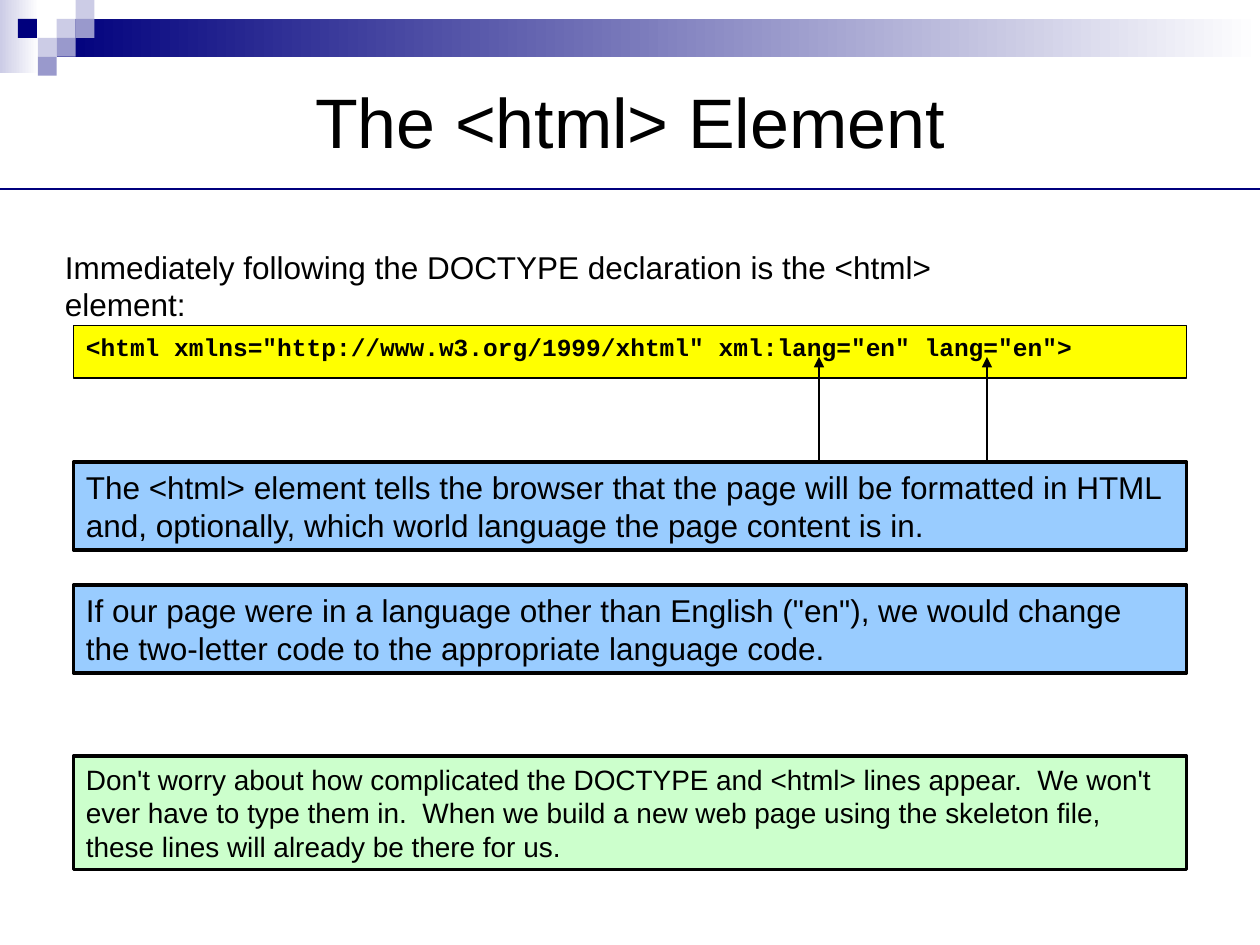
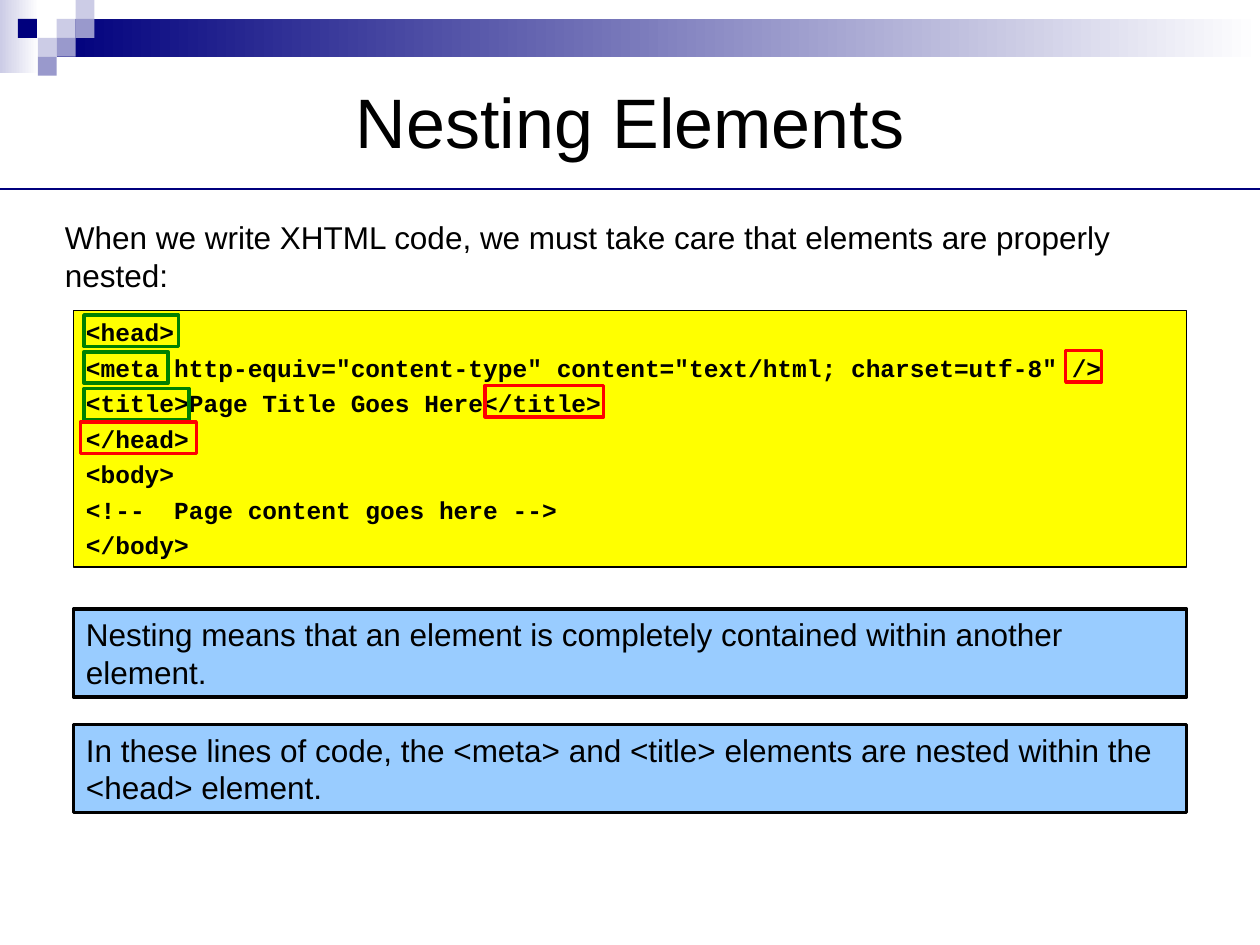
import dataclasses

import lxml.etree
import pptx
import pptx.dml.color
import pptx.enum.shapes
import pptx.enum.text
import pptx.oxml.ns
import pptx.util

COLORS = {
    "navy": "00007D", "periwinkle": "9999CC", "lavender": "CCCCE6",
    "white": "FFFFFF", "black": "000000", "yellow": "FFFF00",
    "sky": "99CCFF", "mint": "CCFFCC", "green": "008000", "red": "FF0000",
}

# Grid: 120 columns by 90 rows, so one cell is 1/12 inch square
SLIDE_WIDTH, SLIDE_HEIGHT = pptx.util.Inches(10), pptx.util.Inches(7.5)
CELL = SLIDE_WIDTH / 120
TILE = 1.8                      # side of a header tile, in cells
PANEL_LEFT, PANEL_WIDTH = 7, 106
HANGING = pptx.util.Inches(0.38)


@dataclasses.dataclass(frozen=True)
class Area:
    col: float
    row: float
    cols: float
    rows: float

    def emu(self) -> tuple[int, ...]:
        return tuple(round(n * CELL) for n in (self.col, self.row, self.cols, self.rows))


@dataclasses.dataclass(frozen=True)
class TextStyle:
    size: float
    font: str = "Arial"
    bold: bool = False
    before: float = 0
    after: float = 0
    hanging: bool = False
    align: pptx.enum.text.PP_ALIGN = pptx.enum.text.PP_ALIGN.LEFT


@dataclasses.dataclass(frozen=True)
class PanelStyle:
    fill: str
    border: float
    text: TextStyle
    grows: bool = True


@dataclasses.dataclass(frozen=True)
class Panel:
    style: PanelStyle
    row: float
    rows: float
    lines: tuple[str, ...]


@dataclasses.dataclass(frozen=True)
class Intro:
    text: str
    area: Area
    wraps: bool


@dataclasses.dataclass(frozen=True)
class TagMark:
    color: str
    area: Area


@dataclasses.dataclass(frozen=True)
class Page:
    title: str
    intro: Intro
    panels: tuple[Panel, ...]
    arrow_cols: tuple[float, ...] = ()
    marks: tuple[TagMark, ...] = ()


TITLE = TextStyle(40, align=pptx.enum.text.PP_ALIGN.CENTER)
INTRO = TextStyle(18)
CODE = PanelStyle("yellow", 0.75,
                  TextStyle(14, "Courier New", bold=True, before=3.5, hanging=True), grows=False)
FACT = PanelStyle("sky", 2, TextStyle(18, before=6, after=6))
ADVICE = PanelStyle("mint", 2, TextStyle(16, before=6, after=6))

# Header tiles: column and row in tiles, colour
HEADER_TILES = (
    (3, 1, "lavender"), (4, 0, "lavender"), (4, 1, "periwinkle"), (2, 2, "lavender"),
    (0.95, 1, "navy"), (3, 2, "periwinkle"), (2, 3, "periwinkle"),
)
HEADER_FADES = (
    (Area(0, 0, 3.7, 7), "lavender"),
    (Area(3 * TILE, TILE, 120 - 3 * TILE, 2 * TILE), "navy"),
)

PAGES = (
    Page(
        "The <html> Element",
        Intro("Immediately following the DOCTYPE declaration is the <html> element:",
              Area(5, 23, 97.2, 4.8), wraps=False),
        (
            Panel(CODE, 31, 5, (
                '<html xmlns="http://www.w3.org/1999/xhtml" xml:lang="en" lang="en">',)),
            Panel(FACT, 44, 8.4, (
                "The <html> element tells the browser that the page will be formatted in HTML "
                "and, optionally, which world language the page content is in.",)),
            Panel(FACT, 55.7, 8.4, (
                'If our page were in a language other than English ("en"), we would change '
                "the two-letter code to the appropriate language code.",)),
            Panel(ADVICE, 72, 10.8, (
                "Don't worry about how complicated the DOCTYPE and <html> lines appear.  "
                "We won't ever have to type them in.  When we build a new web page using "
                "the skeleton file, these lines will already be there for us.",)),
        ),
        arrow_cols=(78, 94),
    ),
    Page(
        "Nesting Elements",
        Intro("When we write XHTML code, we must take care that elements are properly nested:",
              Area(5, 20.2, 107.8, 8.4), wraps=True),
        (
            Panel(CODE, 29.6, 24.4, (
                "<head>",
                '<meta http-equiv="content-type" content="text/html; charset=utf-8" />',
                "<title>Page Title Goes Here</title>",
                "</head>",
                "<body>",
                "<!--  Page content goes here -->",
                "</body>",
            )),
            Panel(FACT, 58, 8.4, (
                "Nesting means that an element is completely contained within another element.",)),
            Panel(FACT, 69, 8.4, (
                "In these lines of code, the <meta> and <title> elements are nested within "
                "the <head> element.",)),
        ),
        marks=(
            TagMark("green", Area(8, 30, 9, 3)),
            TagMark("green", Area(8, 33.5, 8, 3)),
            TagMark("green", Area(8, 37, 10, 3)),
            TagMark("red", Area(101.5, 33.4, 3.4, 3)),
            TagMark("red", Area(46.2, 36.7, 11.3, 3)),
            TagMark("red", Area(7.65, 40.2, 11.05, 3)),
        ),
    ),
)


def rgb(name: str) -> pptx.dml.color.RGBColor:
    return pptx.dml.color.RGBColor.from_string(COLORS[name])


def add_rectangle(slide, area: Area, fill: str | None = None,
                  line: str | None = None, width: float = 0):
    rectangle = slide.shapes.add_shape(pptx.enum.shapes.MSO_SHAPE.RECTANGLE, *area.emu())
    rectangle.shadow.inherit = False
    if fill:
        rectangle.fill.solid()
        rectangle.fill.fore_color.rgb = rgb(fill)
    else:
        rectangle.fill.background()
    if line:
        rectangle.line.color.rgb = rgb(line)
        rectangle.line.width = pptx.util.Pt(width)
    else:
        rectangle.line.fill.background()
    return rectangle


def add_line(slide, start: tuple[float, float], end: tuple[float, float],
             color: str, width: float, arrow: bool = False) -> None:
    ends = (round(n * CELL) for n in (*start, *end))
    line = slide.shapes.add_connector(pptx.enum.shapes.MSO_CONNECTOR.STRAIGHT, *ends)
    line.line.color.rgb = rgb(color)
    line.line.width = pptx.util.Pt(width)
    qn = pptx.oxml.ns.qn
    if arrow:
        lxml.etree.SubElement(line.line._get_or_add_ln(), qn("a:tailEnd"), type="triangle")
    lxml.etree.SubElement(line._element.spPr, qn("a:effectLst"))


def write(frame, lines: tuple[str, ...], style: TextStyle, wraps: bool = True,
          grows: bool = False, anchor=pptx.enum.text.MSO_ANCHOR.TOP) -> None:
    sizing = pptx.enum.text.MSO_AUTO_SIZE
    frame.auto_size = sizing.SHAPE_TO_FIT_TEXT if grows else sizing.NONE
    frame.word_wrap = wraps
    frame.vertical_anchor = anchor
    frame.text = "\n".join(lines)
    for paragraph in frame.paragraphs:
        paragraph.alignment = style.align
        paragraph.space_before = pptx.util.Pt(style.before)
        paragraph.space_after = pptx.util.Pt(style.after)
        paragraph.font.name = style.font
        paragraph.font.size = pptx.util.Pt(style.size)
        paragraph.font.bold = style.bold
        paragraph.font.color.rgb = rgb("black")
        if style.hanging:
            properties = paragraph._p.get_or_add_pPr()
            properties.set("marL", str(int(HANGING)))
            properties.set("indent", str(-int(HANGING)))


def add_header(slide) -> None:
    for area, color in HEADER_FADES:
        fade = add_rectangle(slide, area)
        fade.fill.gradient()
        fade.fill.gradient_angle = 0
        for stop, shade in zip(fade.fill.gradient_stops, (color, "white")):
            stop.color.rgb = rgb(shade)
    for col, row, color in HEADER_TILES:
        add_rectangle(slide, Area(col * TILE, row * TILE, TILE, TILE), color)
    add_line(slide, (0, 18), (120, 18), "navy", 1.25)


def add_title(slide, text: str) -> None:
    title = slide.shapes.title
    title.left, title.top, title.width, title.height = Area(6, 5, 108, 13).emu()
    write(title.text_frame, (text,), TITLE, anchor=pptx.enum.text.MSO_ANCHOR.MIDDLE)


def add_panel(slide, panel: Panel) -> None:
    style = panel.style
    area = Area(PANEL_LEFT, panel.row, PANEL_WIDTH, panel.rows)
    box = add_rectangle(slide, area, style.fill, "black", style.border)
    write(box.text_frame, panel.lines, style.text, grows=style.grows)


def add_page(deck, page: Page) -> None:
    slide = deck.slides.add_slide(deck.slide_layouts.get_by_name("Title Only"))
    add_header(slide)
    add_title(slide, page.title)
    intro = slide.shapes.add_textbox(*page.intro.area.emu())
    write(intro.text_frame, (page.intro.text,), INTRO, page.intro.wraps, grows=True)
    for panel in page.panels:
        add_panel(slide, panel)
    # Arrows rise from the first explanation to the language codes
    for col in page.arrow_cols:
        add_line(slide, (col, 44), (col, 34), "black", 0.75, arrow=True)
    # Frames around opening (green) and closing (red) tags
    for mark in page.marks:
        add_rectangle(slide, mark.area, line=mark.color, width=2)


def main() -> None:
    deck = pptx.Presentation()
    deck.slide_width, deck.slide_height = SLIDE_WIDTH, SLIDE_HEIGHT
    for page in PAGES:
        add_page(deck, page)
    deck.save("out.pptx")


if __name__ == "__main__":
    main()
